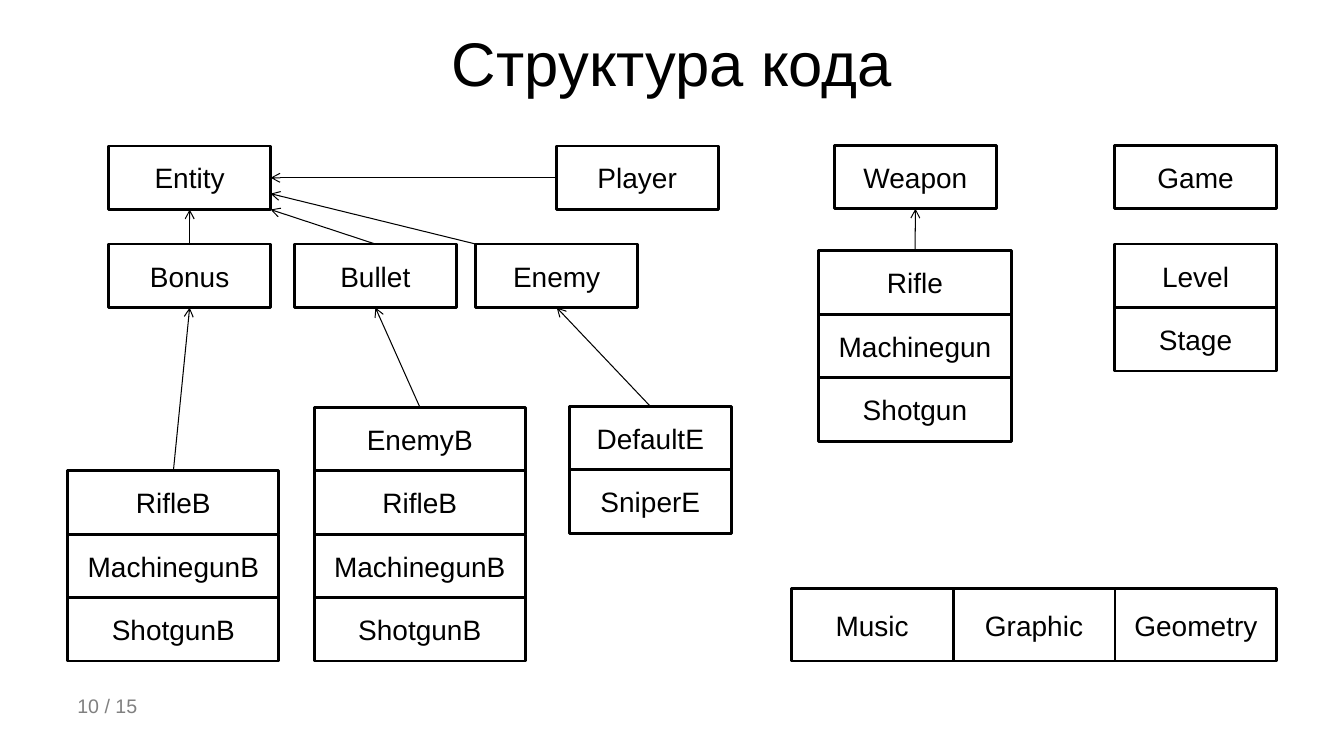
from lxml.etree import SubElement
from pptx import Presentation
from pptx.dml.color import RGBColor
from pptx.enum.shapes import MSO_CONNECTOR, MSO_SHAPE
from pptx.enum.text import MSO_ANCHOR, PP_ALIGN
from pptx.oxml.ns import qn
from pptx.util import Cm, Pt

BLACK = RGBColor(0x00, 0x00, 0x00)
WHITE = RGBColor(0xFF, 0xFF, 0xFF)
GRAY = RGBColor(0x80, 0x80, 0x80)
FONT = "Arial"
BOX_WIDTH, BOX_HEIGHT = 4.08, 1.6
BULLET_WIDTH, WEAPON_WIDTH = 5.32, 4.88
MODULE_HEIGHT = 1.83
TOP, RIGHT, BOTTOM = 0, 3, 2


def write(shape, text, size, color, align):
    """Fill a shape with one paragraph of vertically centred text."""
    frame = shape.text_frame
    frame.word_wrap = True
    frame.vertical_anchor = MSO_ANCHOR.MIDDLE
    para = frame.paragraphs[0]
    para.text = text
    para.alignment = align
    para.font.name = FONT
    para.font.size = Pt(size)
    para.font.color.rgb = color


def add_label(page, text, left, top, width, height, size, color, align):
    """Add a text box without an outline."""
    label = page.shapes.add_textbox(Cm(left), Cm(top), Cm(width), Cm(height))
    write(label, text, size, color, align)


def add_box(page, name, left, top, width=BOX_WIDTH, height=BOX_HEIGHT):
    """Add an outlined class box and return it."""
    box = page.shapes.add_shape(
        MSO_SHAPE.RECTANGLE, Cm(left), Cm(top), Cm(width), Cm(height))
    box.shadow.inherit = False
    box.fill.solid()
    box.fill.fore_color.rgb = WHITE
    box.line.color.rgb = BLACK
    box.line.width = Pt(2)
    write(box, name, 20, BLACK, PP_ALIGN.CENTER)
    return box


def add_stack(page, names, left, top, width=BOX_WIDTH):
    """Add touching boxes from top to bottom and return the first one."""
    boxes = [add_box(page, name, left, top + row * BOX_HEIGHT, width)
             for row, name in enumerate(names)]
    return boxes[0]


def add_arrow(page, start=(0, 0), end=(0, 0)):
    """Add a thin line with an open arrowhead at its end."""
    arrow = page.shapes.add_connector(
        MSO_CONNECTOR.STRAIGHT, *map(Cm, start), *map(Cm, end))
    arrow.line.color.rgb = BLACK
    arrow.line.width = Pt(0.75)
    SubElement(arrow.line._get_or_add_ln(), qn("a:tailEnd"), type="arrow")
    SubElement(arrow._element.spPr, qn("a:effectLst"))
    return arrow


def inherit(page, child, parent, child_side=TOP, parent_side=BOTTOM):
    """Join a child class to its parent class with an arrow."""
    arrow = add_arrow(page)
    arrow.begin_connect(child, child_side)
    arrow.end_connect(parent, parent_side)


def add_entities(page):
    """Draw the entity classes and their inheritance."""
    entity = add_box(page, "Entity", 2.74, 3.68)
    player = add_box(page, "Player", 14.02, 3.68)
    bonus = add_box(page, "Bonus", 2.74, 6.15)
    bullet = add_box(page, "Bullet", 7.42, 6.15)
    enemy = add_box(page, "Enemy", 11.99, 6.15)

    weapon_bullets = ["RifleB", "MachinegunB", "ShotgunB"]
    bonus_kinds = add_stack(page, weapon_bullets, 1.71, 11.86, BULLET_WIDTH)
    bullet_kinds = add_stack(
        page, ["EnemyB", *weapon_bullets], 7.92, 10.26, BULLET_WIDTH)
    enemy_kinds = add_stack(page, ["DefaultE", "SniperE"], 14.35, 10.24)

    inherit(page, player, entity, child_side=1, parent_side=RIGHT)
    inherit(page, bonus, entity)
    inherit(page, bonus_kinds, bonus)
    inherit(page, bullet_kinds, bullet)
    inherit(page, enemy_kinds, enemy)
    bullet_arrow = add_arrow(page, end=(6.82, 5.28))
    bullet_arrow.begin_connect(bullet, TOP)
    add_arrow(page, (11.99, 6.15), (6.82, 4.88))


def add_weapons(page):
    """Draw the weapon classes and their inheritance."""
    weapon = add_box(page, "Weapon", 21.03, 3.66)
    weapon_kinds = add_stack(
        page, ["Rifle", "Machinegun", "Shotgun"], 20.62, 6.32, WEAPON_WIDTH)
    inherit(page, weapon_kinds, weapon)


def add_game(page):
    """Draw the game classes and the row of helper modules."""
    add_box(page, "Game", 28.09, 3.66)
    add_stack(page, ["Level", "Stage"], 28.09, 6.15)
    for column, name in enumerate(["Music", "Graphic", "Geometry"]):
        add_box(page, name, 19.94 + column * BOX_WIDTH, 14.83,
                height=MODULE_HEIGHT)


def main():
    """Build the slide and save the deck."""
    deck = Presentation()
    deck.slide_width, deck.slide_height = Cm(33.87), Cm(19.05)
    page = deck.slides.add_slide(deck.slide_layouts[6])
    add_label(page, "Структура кода", 1.7, -0.03, 30.48, 3.18, 44, BLACK,
              PP_ALIGN.CENTER)
    add_entities(page)
    add_weapons(page)
    add_game(page)
    add_label(page, "10 / 15", 1.7, 17.35, 5.16, 0.84, 14, GRAY,
              PP_ALIGN.LEFT)
    deck.save("out.pptx")


if __name__ == "__main__":
    main()
